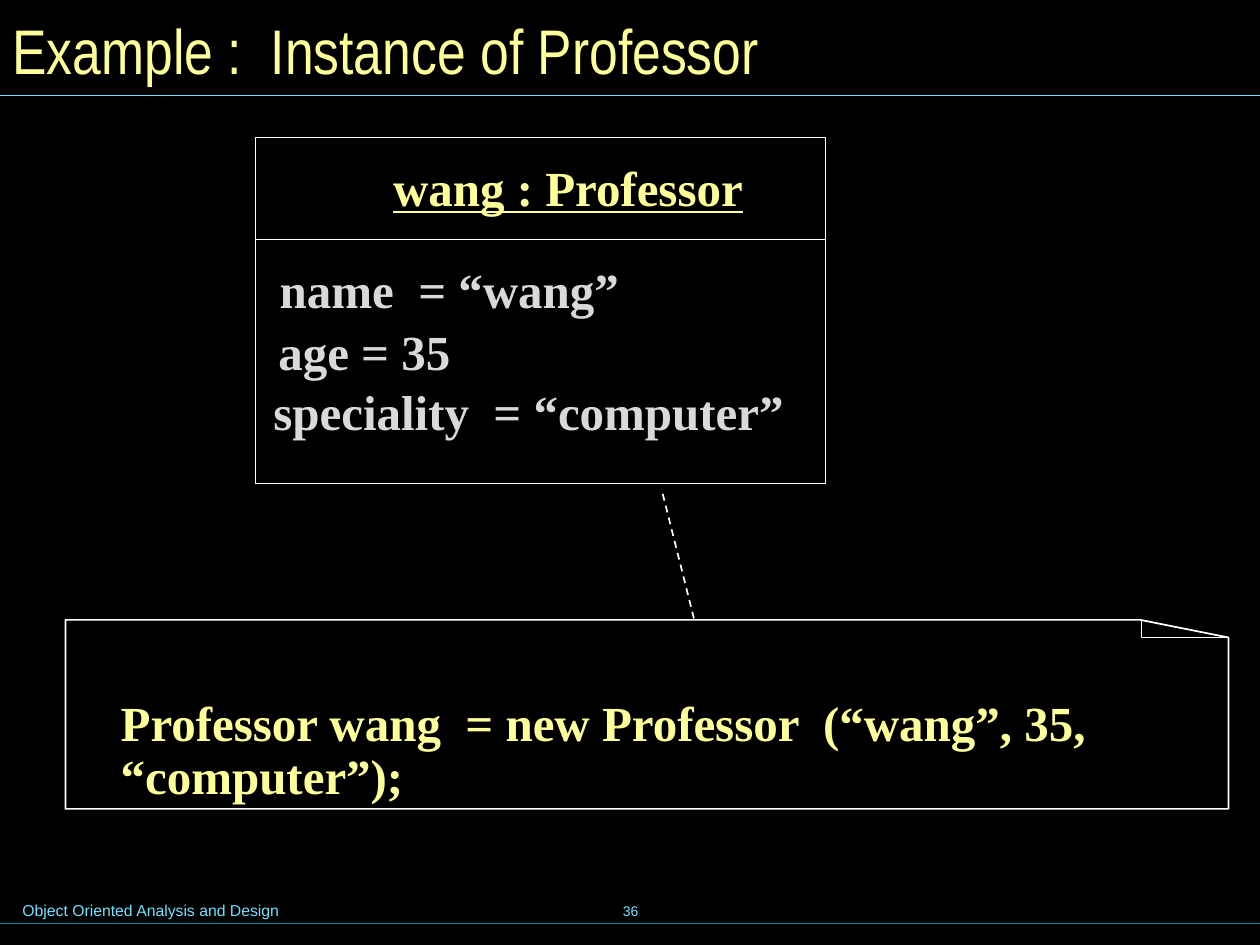
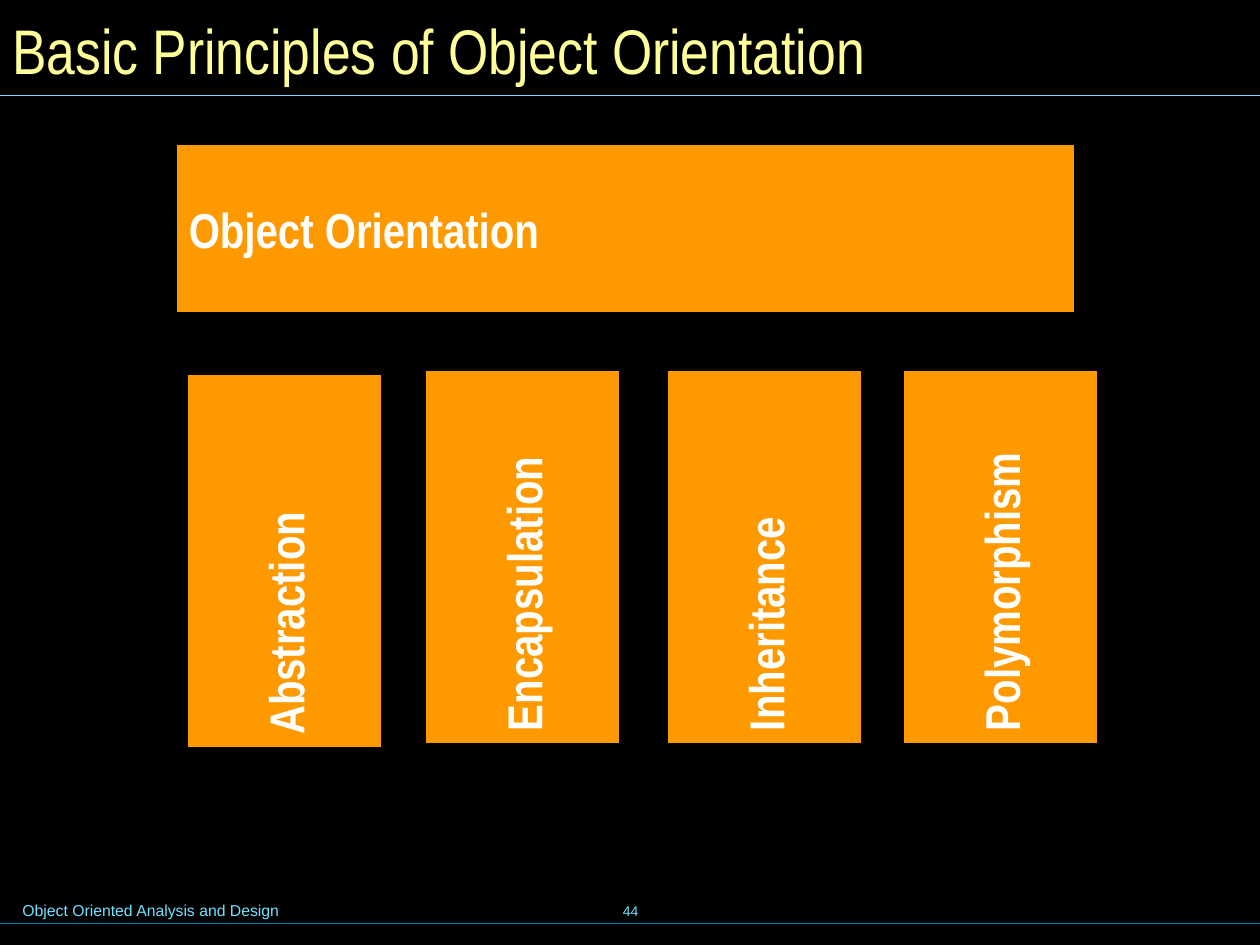
from dataclasses import dataclass

from lxml import etree
from pptx import Presentation
from pptx.dml.color import RGBColor
from pptx.enum.dml import MSO_LINE
from pptx.enum.shapes import MSO_CONNECTOR, MSO_SHAPE
from pptx.enum.text import MSO_ANCHOR, PP_ALIGN
from pptx.oxml.ns import qn
from pptx.util import Inches, Pt

STRAIGHT = MSO_CONNECTOR.STRAIGHT
RECTANGLE = MSO_SHAPE.RECTANGLE
DASH = MSO_LINE.DASH
TOP, MIDDLE = MSO_ANCHOR.TOP, MSO_ANCHOR.MIDDLE
LEFT, CENTER = PP_ALIGN.LEFT, PP_ALIGN.CENTER

SLIDE_WIDTH, SLIDE_HEIGHT = Inches(10), Inches(7.5)
COLUMNS, ROWS = 100, 75

BLACK, WHITE = "000000", "FFFFFF"
YELLOW, ORANGE, GREY = "FFFF99", "FF9900", "D9D9D9"
SKY, TEAL = "73E1FF", "007E9F"
SANS, NARROW, SERIF = "Arial", "Arial Narrow", "Times New Roman"

FOOTER = "Object Oriented Analysis and Design"


@dataclass(frozen=True)
class Box:
    """A rectangle in grid columns and rows."""
    column: float
    row: float
    columns: float
    rows: float

    def emu(self) -> tuple:
        return x(self.column), y(self.row), x(self.columns), y(self.rows)


@dataclass(frozen=True)
class Rule:
    """A straight line between two grid points."""
    start: tuple
    end: tuple
    color: str
    width: float = 1
    dash: object = None


@dataclass(frozen=True)
class Attribute:
    text: str
    column: float
    row: float


@dataclass(frozen=True)
class Pillar:
    text: str
    column: float
    row: float


TITLE_BOX = Box(0, 0, 99.3, 7.8)
FOOTER_BOX = Box(0.8, 71, 51, 2.5)
NUMBER_BOX = Box(34.2, 69.8, 31.7, 5)
SHARED_RULES = [
    Rule((0, 73.3), (100, 73.3), TEAL, 0.75),
    Rule((0, 7.6), (100, 7.6), SKY, 0.75),
]

CLASS_BOX = Box(20.3, 10.9, 45.2, 27.5)
CLASS_NAME_BOX = Box(31.2, 12.5, 32, 4.7)
CLASS_DIVIDER = Rule((20.3, 19), (65.5, 19), WHITE)
ATTRIBUTES = [
    Attribute("name  = “wang”", 22.2, 20.6),
    Attribute("age = 35", 22.1, 25.5),
    Attribute("speciality  = “computer”", 21.7, 30.3),
]
NOTE_LINK = Rule((52.6, 39.2), (55.1, 49.2), WHITE, dash=DASH)
NOTE_TEXT_BOX = Box(8.6, 55, 89, 9.3)
NOTE_OUTLINE = [(97.5, 64.2), (5.2, 64.2), (5.2, 49.2), (90.5, 49.2),
                (97.5, 50.6), (97.5, 64.2)]
NOTE_FOLD = [(97.5, 50.6), (90.6, 50.6), (90.6, 49.2)]

ROOF_BOX = Box(14, 11.5, 71.3, 13.3)
PILLAR_LENGTH, PILLAR_THICKNESS = 29.6, 15.4
PILLARS = [
    Pillar("Abstraction", 7.8, 36.8),
    Pillar("Encapsulation", 26.7, 36.5),
    Pillar("Inheritance", 45.9, 36.5),
    Pillar("Polymorphism", 64.6, 36.5),
]


def x(columns: float) -> int:
    return round(SLIDE_WIDTH * columns / COLUMNS)


def y(rows: float) -> int:
    return round(SLIDE_HEIGHT * rows / ROWS)


def rgb(color: str) -> RGBColor:
    return RGBColor.from_string(color)


def write(shape, text: str, *, size: float, color: str, font: str = SERIF,
          bold: bool = False, underline: bool = False, align=LEFT,
          anchor=TOP, padded: bool = True, spacing: float = 1) -> None:
    frame = shape.text_frame
    frame.word_wrap = True
    frame.vertical_anchor = anchor
    frame.margin_left = frame.margin_right = Inches(0.1 if padded else 0)
    frame.margin_top = frame.margin_bottom = Inches(0.05 if padded else 0)
    paragraph = frame.paragraphs[0]
    paragraph.alignment = align
    paragraph.line_spacing = spacing
    run = paragraph.add_run()
    run.text = text
    run.font.name = font
    run.font.size = Pt(size)
    run.font.bold = bold
    run.font.underline = underline
    run.font.color.rgb = rgb(color)


def add_text(slide, box: Box, text: str, **text_format) -> None:
    write(slide.shapes.add_textbox(*box.emu()), text, **text_format)


def add_rule(slide, rule: Rule) -> None:
    (start_column, start_row), (end_column, end_row) = rule.start, rule.end
    connector = slide.shapes.add_connector(
        STRAIGHT, x(start_column), y(start_row), x(end_column), y(end_row))
    connector.line.color.rgb = rgb(rule.color)
    connector.line.width = Pt(rule.width)
    if rule.dash:
        connector.line.dash_style = rule.dash
    etree.SubElement(connector._element.spPr, qn("a:effectLst"))


def set_style(shape, line: str, width: float, fill: str = "") -> None:
    shape.shadow.inherit = False
    shape.line.color.rgb = rgb(line)
    shape.line.width = Pt(width)
    if fill:
        shape.fill.solid()
        shape.fill.fore_color.rgb = rgb(fill)
    else:
        shape.fill.background()


def add_outline(slide, points: list) -> None:
    (start_x, start_y), *rest = [(x(column), y(row)) for column, row in points]
    builder = slide.shapes.build_freeform(start_x, start_y)
    builder.add_line_segments(rest, close=False)
    set_style(builder.convert_to_shape(), WHITE, 1)


def add_block(slide, box: Box, text: str, rotation: float = 0) -> None:
    block = slide.shapes.add_shape(RECTANGLE, *box.emu())
    block.rotation = rotation
    set_style(block, BLACK, 0.75, ORANGE)
    write(block, text, size=28, color=WHITE, font=NARROW, bold=True,
          anchor=MIDDLE)


def add_framed_slide(presentation, title: str, number: int):
    """Add a blank slide with the shared background, title, rules and footer."""
    slide = presentation.slides.add_slide(presentation.slide_layouts[6])
    slide.background.fill.solid()
    slide.background.fill.fore_color.rgb = rgb(BLACK)
    add_text(slide, FOOTER_BOX, FOOTER, size=9, color=SKY, font=SANS)
    add_text(slide, NUMBER_BOX, str(number), size=8, color=SKY, font=SANS,
             align=CENTER, anchor=MIDDLE)
    for rule in SHARED_RULES:
        add_rule(slide, rule)
    add_text(slide, TITLE_BOX, title, size=36, color=YELLOW, font=NARROW,
             anchor=MIDDLE)
    return slide


def build_instance_slide(presentation) -> None:
    slide = add_framed_slide(presentation, "Example :  Instance of Professor", 36)
    class_box = slide.shapes.add_shape(RECTANGLE, *CLASS_BOX.emu())
    set_style(class_box, WHITE, 0)
    add_rule(slide, CLASS_DIVIDER)
    add_text(slide, CLASS_NAME_BOX, "wang : Professor", size=28, color=YELLOW,
             bold=True, underline=True, padded=False)
    for attribute in ATTRIBUTES:
        box = Box(attribute.column, attribute.row, 43, 4.7)
        add_text(slide, box, attribute.text, size=28, color=GREY, bold=True,
                 padded=False)
    add_text(slide, NOTE_TEXT_BOX,
             "Professor wang  = new Professor  (“wang”, 35, “computer”);",
             size=28, color=YELLOW, bold=True, spacing=0.9)
    for points in (NOTE_OUTLINE, NOTE_FOLD):
        add_outline(slide, points)
    add_rule(slide, NOTE_LINK)


def build_principles_slide(presentation) -> None:
    slide = add_framed_slide(
        presentation, "Basic Principles of Object Orientation", 44)
    add_block(slide, ROOF_BOX, "Object Orientation")
    for pillar in PILLARS:
        box = Box(pillar.column, pillar.row, PILLAR_LENGTH, PILLAR_THICKNESS)
        add_block(slide, box, pillar.text, rotation=270)


def main() -> None:
    presentation = Presentation()
    presentation.slide_width = SLIDE_WIDTH
    presentation.slide_height = SLIDE_HEIGHT
    build_instance_slide(presentation)
    build_principles_slide(presentation)
    presentation.save("out.pptx")


if __name__ == "__main__":
    main()
